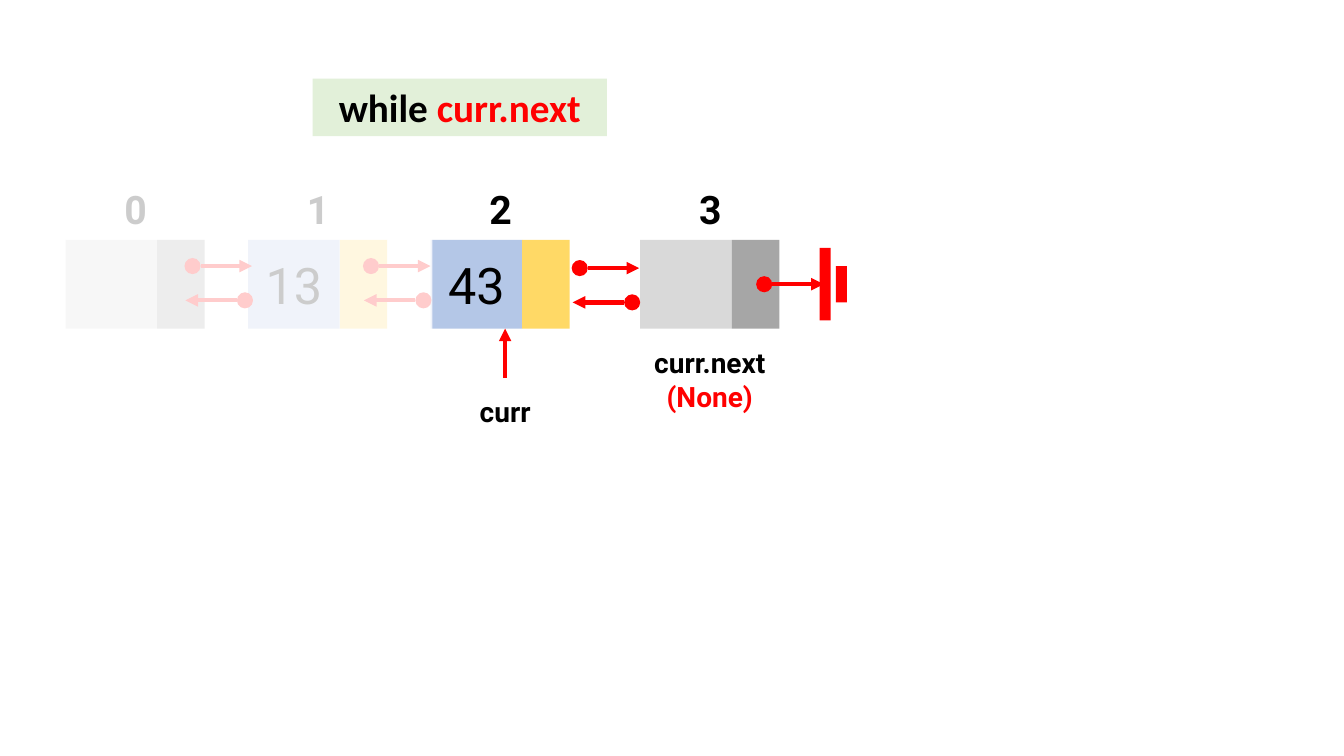
from pptx import Presentation
from pptx.dml.color import RGBColor
from pptx.enum.shapes import MSO_CONNECTOR, MSO_SHAPE
from pptx.enum.text import MSO_ANCHOR, MSO_AUTO_SIZE, PP_ALIGN
from pptx.oxml.ns import qn
from pptx.util import Inches, Pt
from lxml import etree

RECT, OVAL = MSO_SHAPE.RECTANGLE, MSO_SHAPE.OVAL
LINE = MSO_CONNECTOR.STRAIGHT
CENTER = PP_ALIGN.CENTER
TOP, MIDDLE = MSO_ANCHOR.TOP, MSO_ANCHOR.MIDDLE
NO_FIT = MSO_AUTO_SIZE.NONE

COLORS = {
    "green": "E2F0D9", "blue": "B4C7E7", "gold": "FFD966",
    "light": "D9D9D9", "dark": "A6A6A6",
    "red": "FF0000", "black": "000000", "white": "FFFFFF",
}
NODE_TOP, NODE_H = 2.38, 0.88
DATA_W, NEXT_W = 0.91, 0.47
DOT, SHAFT = 0.16, 0.51

# left edge, value, data colour, link colour
NODES = [
    (0.65, "", "light", "dark"),
    (2.46, "13", "blue", "gold"),
    (4.27, "43", "blue", "gold"),
    (6.35, "", "light", "dark"),
]
LINKS = [(1.83, 2.56), (3.6, 2.56), (5.67, 2.58)]


def rgb(name):
    return RGBColor.from_string(COLORS[name])


def style(para, size, font="Roboto", bold=True, color="black"):
    para.alignment = CENTER
    para.font.size = Pt(size)
    para.font.name = font
    para.font.bold = bold
    para.font.color.rgb = rgb(color)


def add_block(slide, kind, x, y, w, h, color):
    block = slide.shapes.add_shape(kind, Inches(x), Inches(y), Inches(w), Inches(h))
    block.shadow.inherit = False
    block.fill.solid()
    block.fill.fore_color.rgb = rgb(color)
    block.line.fill.background()
    return block


def add_label(slide, x, y, w, h, size, *lines):
    """Add centred bold lines, each a pair of text and colour."""
    box = slide.shapes.add_textbox(Inches(x), Inches(y), Inches(w), Inches(h))
    frame = box.text_frame
    frame.word_wrap = True
    for i, (text, color) in enumerate(lines):
        para = frame.add_paragraph() if i else frame.paragraphs[0]
        para.text = text
        style(para, size, color=color)


def add_arrow(slide, x1, y1, x2, y2):
    arrow = slide.shapes.add_connector(
        LINE, Inches(x1), Inches(y1), Inches(x2), Inches(y2))
    arrow.line.color.rgb = rgb("red")
    arrow.line.width = Pt(3)
    etree.SubElement(arrow.line._get_or_add_ln(), qn("a:tailEnd"), type="triangle")
    etree.SubElement(arrow._element.spPr, qn("a:effectLst"))


def add_pointer(slide, x, y, back=False):
    """Add a dot at x, y with an arrow leaving its right or left side."""
    add_block(slide, OVAL, x, y, DOT, DOT, "red")
    start, end = (x, x - SHAFT) if back else (x + DOT, x + DOT + SHAFT)
    add_arrow(slide, start, y + DOT / 2, end, y + DOT / 2)


def add_node(slide, index, x, value, data, link):
    cell = add_block(slide, RECT, x, NODE_TOP, DATA_W, NODE_H, data)
    if value:
        frame = cell.text_frame
        frame.vertical_anchor = MIDDLE
        frame.text = value
        style(frame.paragraphs[0], 36, bold=False)
    add_block(slide, RECT, x + DATA_W, NODE_TOP, NEXT_W, NODE_H, link)
    add_label(slide, x + 0.31, 1.79, 0.77, 0.57, 28, (str(index), "black"))


def add_veil(slide):
    """Fade the visited nodes with a see-through white block."""
    veil = add_block(slide, RECT, 0.61, 1.79, 3.68, 2.2, "white")
    tint = veil._element.spPr.find(qn("a:solidFill"))[0]
    etree.SubElement(tint, qn("a:alpha"), val="80000")


def set_title(slide):
    title = slide.shapes.title
    title.left, title.top = Inches(3.1), Inches(0.78)
    title.width, title.height = Inches(2.92), Inches(0.57)
    title.fill.solid()
    title.fill.fore_color.rgb = rgb("green")
    frame = title.text_frame
    frame.auto_size = NO_FIT
    frame.vertical_anchor = TOP
    para = frame.paragraphs[0]
    style(para, 28, "Calibri")
    para.line_spacing = 1.0
    para.space_before = Pt(0)
    para.add_run().text = "while "
    test = para.add_run()
    test.text = "curr.next"
    test.font.color.rgb = rgb("red")


def main():
    deck = Presentation()
    deck.slide_width, deck.slide_height = Inches(13.33), Inches(7.5)
    slide = deck.slides.add_slide(deck.slide_layouts[5])
    set_title(slide)

    for index, node in enumerate(NODES):
        add_node(slide, index, *node)
    for x, y in LINKS:
        add_pointer(slide, x, y)
        add_pointer(slide, x + 0.52, y + 0.34, back=True)
    add_veil(slide)

    add_arrow(slide, 5.01, 3.75, 5.01, 3.26)
    add_label(slide, 6.33, 3.38, 1.42, 0.77, 20,
              ("curr.next", "black"), ("(None)", "red"))
    add_label(slide, 4.3, 3.86, 1.42, 0.44, 20, ("curr", "black"))

    for x, h in ((8.13, 0.72), (8.29, 0.36)):
        add_block(slide, RECT, x, 2.82 - h / 2, 0.11, h, "red")
    add_pointer(slide, 7.5, 2.74)
    deck.save("out.pptx")


if __name__ == "__main__":
    main()
